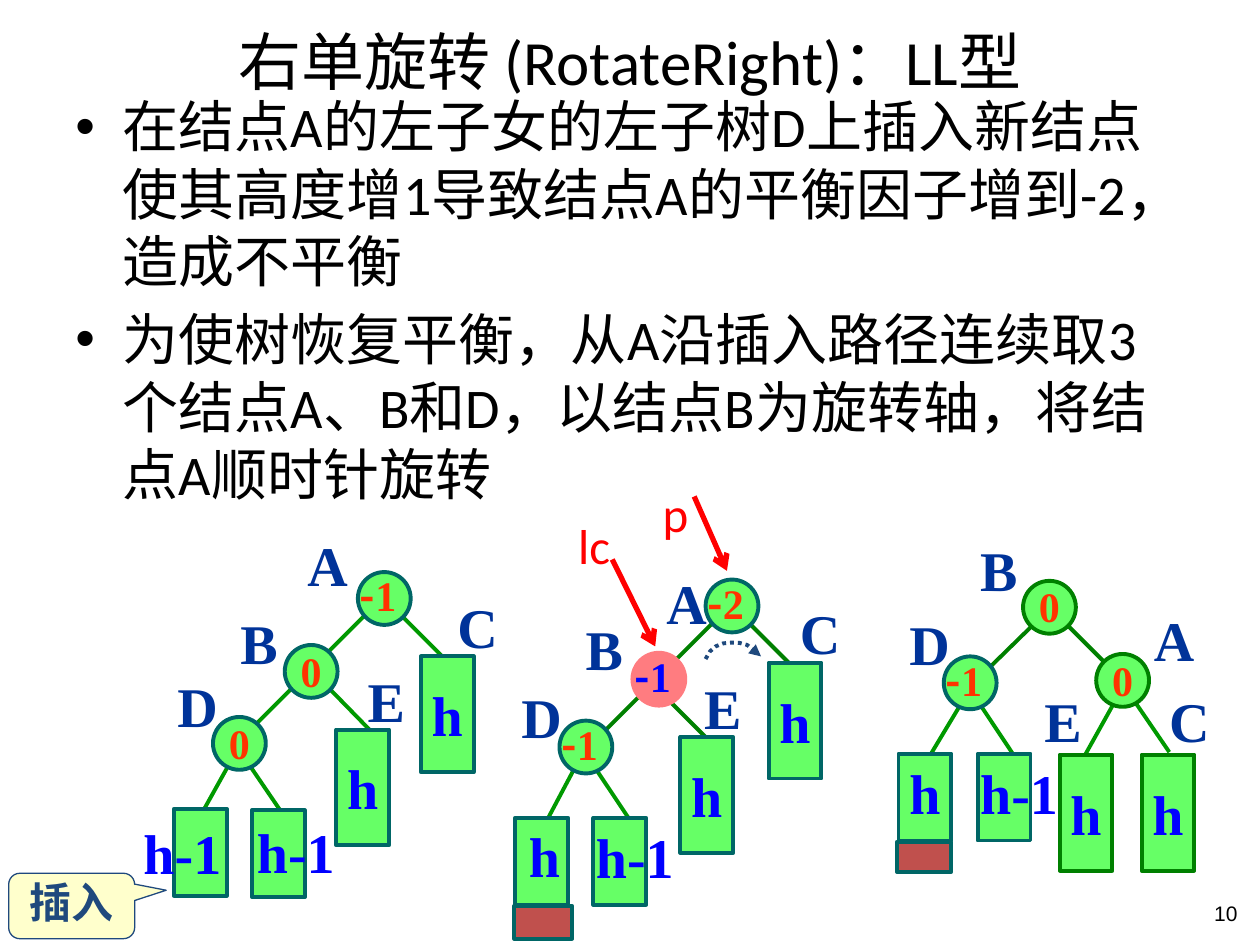
from dataclasses import dataclass
from lxml.etree import SubElement
from pptx import Presentation
from pptx.dml.color import RGBColor as RGB
from pptx.enum.dml import MSO_LINE as DASH
from pptx.enum.shapes import MSO_CONNECTOR as LINK, MSO_SHAPE as SHAPE
from pptx.enum.text import MSO_ANCHOR as ANCHOR, PP_ALIGN as ALIGN
from pptx.oxml.ns import qn
from pptx.util import Pt


@dataclass
class Theme:
    black = RGB(0, 0, 0)
    navy = RGB(0x00, 0x33, 0x99)
    blue = RGB(0, 0, 0xFF)
    orange = RGB(0xFF, 0x33, 0x00)
    red = RGB(0xFF, 0, 0)
    slate = RGB(0x1F, 0x49, 0x7D)
    cream = RGB(0xFF, 0xFF, 0xCC)
    lime = RGB(0x66, 0xFF, 0x66)
    pink = RGB(0xFF, 0x7C, 0x80)
    brick = RGB(0xC0, 0x50, 0x4D)
    teal = RGB(0x00, 0x66, 0x66)
    dark = RGB(0x00, 0x80, 0x00)
    mid = RGB(0x00, 0x99, 0x00)
    head, body, tag, name, bal, page = 36, 32, 28, 32, 24, 12
    sans, serif, cjk, plain = "Calibri", "Times New Roman", "Noto Sans CJK SC", "Arial"


T = Theme()
deck = Presentation()
deck.slide_width, deck.slide_height = Pt(720), Pt(540)
slide = deck.slides.add_slide(deck.slide_layouts[5])
shapes = slide.shapes


def write(shape, text, size, color, face=T.serif, bold=True, align=ALIGN.LEFT):
    """Fill the first paragraph; a leading minus sign takes the CJK face."""
    para = shape.text_frame.paragraphs[0]
    para.alignment = align
    parts = [("-", T.cjk), (text[1:], face)] if text[0] == "-" else [(text, face)]
    for part, font in parts:
        run = para.add_run()
        run.text = part
        look = {"name": font, "size": Pt(size), "bold": bold}
        for key, value in look.items():
            setattr(run.font, key, value)
        run.font.color.rgb = color


def draw(kind, x, y, w, h, fill, edge, width=2.25):
    shape = shapes.add_shape(kind, Pt(x), Pt(y), Pt(w), Pt(h))
    shape.shadow.inherit = False
    shape.fill.solid()
    shape.fill.fore_color.rgb = fill
    shape.line.color.rgb = edge
    shape.line.width = Pt(width)
    frame = shape.text_frame
    frame.word_wrap = False
    frame.vertical_anchor = ANCHOR.MIDDLE
    return shape


# Title and bullets
title = shapes.title
place = {"left": Pt(36), "top": Pt(-2), "width": Pt(648), "height": Pt(73.4)}
for key, value in place.items():
    setattr(title, key, value)
title.text_frame.vertical_anchor = ANCHOR.MIDDLE
write(title, "右单旋转 (RotateRight)：LL型", T.head, T.black, T.sans, False, ALIGN.CENTER)

body = shapes.add_textbox(Pt(36), Pt(49), Pt(648), Pt(245)).text_frame
body.word_wrap = True
points = [
    "在结点A的左子女的左子树D上插入新结点使其高度增1导致结点A的平衡因子增到-2，造成不平衡",
    "为使树恢复平衡，从A沿插入路径连续取3个结点A、B和D，以结点B为旋转轴，将结点A顺时针旋转",
]
for i, point in enumerate(points):
    para = body.paragraphs[0] if i == 0 else body.add_paragraph()
    props = para._p.get_or_add_pPr()
    props.set("marL", str(Pt(27)))
    props.set("indent", str(Pt(-27)))
    SubElement(props, qn("a:buFont"), typeface=T.plain)
    SubElement(props, qn("a:buChar"), char="•")
    para.text = point
    para.space_before = Pt(6.4 if i else 0)
    look = {"name": T.sans, "size": Pt(T.body)}
    for key, value in look.items():
        setattr(para.font, key, value)
    para.font.color.rgb = T.black

# Tree branches and red pointers: colour, then from and to
links = [
    (T.mid, 185.8, 391, 214.6, 420.5), (T.mid, 139, 432, 162, 465.8),
    (T.mid, 133.2, 432.7, 112.3, 470.2), (T.mid, 221, 339.1, 134.6, 425.5),
    (T.mid, 228.2, 350.6, 258.5, 380.9),
    (T.dark, 373, 391, 403.2, 421.2), (T.dark, 427, 355, 457.2, 385.2),
    (T.dark, 415.4, 347.8, 341.3, 421.9), (T.mid, 337, 434.2, 360, 468.7),
    (T.mid, 330.5, 434.9, 310.3, 473),
    (T.mid, 549.4, 401.8, 532.1, 430.6), (T.mid, 645.1, 396, 668.2, 429.8),
    (T.mid, 639.4, 396.7, 618.5, 434.2), (T.dark, 594, 353.5, 560.9, 385.9),
    (T.dark, 608.4, 355.7, 638.6, 385.9), (T.mid, 556.6, 397.4, 579.6, 432),
    (T.red, 396.7, 283.7, 415.4, 326.2), (T.red, 349.9, 319.7, 374.4, 369.4),
]
for color, *ends in links:
    link = shapes.add_connector(LINK.STRAIGHT, *map(Pt, ends))
    link.line.color.rgb = color
    link.line.width = Pt(3 if color == T.red else 2.25)
    if color == T.red:
        SubElement(link.line._get_or_add_ln(), qn("a:tailEnd"), type="arrow")
    SubElement(link._element.spPr, qn("a:effectLst"))

# Subtrees of height h, with the letter inside
side, tall, short = 30.2, 66.2, 49.7
for x, y, edge in [
    (240.5, 375.1, T.teal), (192.2, 416.9, T.teal), (439.2, 378.7, T.teal),
    (388.8, 421.2, T.teal), (652.3, 431.3, T.dark), (605.5, 431.3, T.dark),
]:
    box = draw(SHAPE.RECTANGLE, x, y, side, tall, T.lime, edge)
    write(box, "h", T.name, T.blue, align=ALIGN.CENTER)

# Lower subtrees: box, then label and its place
labels = []
for x, y, text, left, top in [
    (144, 463, "h-1", 139.7, 463.7), (99.4, 462.2, "h-1", 74.9, 464.4),
    (339.1, 467.3, "h-1", 333.4, 466.6), (294.5, 467.3, "h", 295.2, 465.8),
    (558.7, 430.6, "h-1", 553, 429.8), (513.4, 430.6, "h", 512.6, 429.8),
]:
    draw(SHAPE.RECTANGLE, x, y, side, short, T.lime, T.teal)
    labels.append((text, left, top, 59 if text == "h-1" else 33, T.name, T.blue))
for x, y, w, h in [(293.8, 517.7, 33.1, 18.7), (512.6, 481, 31, 17.3)]:
    draw(SHAPE.RECTANGLE, x, y, w, h, T.brick, T.teal)

# Nodes with their balance factors
for x, y, text, fill, edge, color in [
    (204.5, 326.9, "-1", T.lime, T.teal, T.orange),
    (162.7, 368.6, "0", T.lime, T.teal, T.orange),
    (121.7, 409.7, "0", T.lime, T.teal, T.orange),
    (403.2, 331.2, "-2", T.lime, T.teal, T.orange),
    (361.4, 373, "-1", T.pink, T.pink, T.blue),
    (319.7, 411.8, "-1", T.lime, T.teal, T.orange),
    (584.6, 331.9, "0", T.lime, T.dark, T.orange),
    (626.4, 373.7, "0", T.lime, T.dark, T.orange),
    (539.3, 375.1, "-1", T.lime, T.teal, T.orange),
]:
    draw(SHAPE.OVAL, x, y, side, side, fill, edge)
    dx, dy, w = (2, -3.5, 26.6) if text == "0" else (-6, -4.8, 38.2)
    labels.append((text, x + dx, y + dy, w, T.bal, color))

# Node names
for name, x, y in [
    ("A", 168.5, 299.5), ("B", 130.3, 344.2), ("C", 254.2, 334.8),
    ("D", 94.3, 380.2), ("E", 203, 377.3),
    ("A", 373.7, 321.1), ("B", 327.6, 347.8), ("C", 450, 338.4),
    ("D", 290.9, 386.6), ("E", 395.3, 381.6),
    ("A", 652.3, 342.7), ("B", 553, 302.4), ("C", 661, 388.8),
    ("D", 512.6, 344.9), ("E", 589.7, 388.8),
]:
    labels.append((name, x, y, 36 if name in "BE" else 37.4, T.name, T.navy))
for text, x, y, w, size, color in labels:
    box = shapes.add_textbox(Pt(x), Pt(y), Pt(w), Pt(45 if size == T.name else 36))
    box.text_frame.word_wrap = False
    write(box, text, size, color)

# Pointer names and page number
for text, x, y, w in [("p", 371.5, 272.9, 27.4), ("lc", 323.3, 290.9, 36)]:
    box = shapes.add_textbox(Pt(x), Pt(y), Pt(w), Pt(41))
    write(box, text, T.tag, T.red, T.sans, False)
page = shapes.add_textbox(Pt(683.3), Pt(507.6), Pt(31), Pt(28.8))
page.text_frame.vertical_anchor = ANCHOR.MIDDLE
write(page, "10", T.page, T.black, T.plain, False, ALIGN.RIGHT)

# Dotted turn arrow
curve = [
    (403.2, 376.6), (405.8, 372.2), (409, 369.4), (413.2, 367.7), (418.3, 367.2),
    (422.6, 367.4), (427, 368.6), (431.2, 371.9), (434.9, 375.1),
]
start, *rest = [(Pt(x), Pt(y)) for x, y in curve]
path = shapes.build_freeform(*start)
path.add_line_segments(rest, close=False)
turn = path.convert_to_shape()
turn.shadow.inherit = False
turn.fill.background()
look = {"width": Pt(2.25), "dash_style": DASH.ROUND_DOT}
for key, value in look.items():
    setattr(turn.line, key, value)
turn.line.color.rgb = T.slate
SubElement(turn.line._get_or_add_ln(), qn("a:tailEnd"), type="triangle")

# Callout for the insertion
note = draw(SHAPE.ROUNDED_RECTANGULAR_CALLOUT, 5, 499, 72, 37.4, T.cream, T.slate, 0.75)
for i, value in enumerate([0.75, -0.24, 0.17]):
    note.adjustments[i] = value
note.text_frame.margin_bottom = Pt(8)
write(note, "插入", T.bal, T.slate, align=ALIGN.CENTER)

deck.save("out.pptx")
